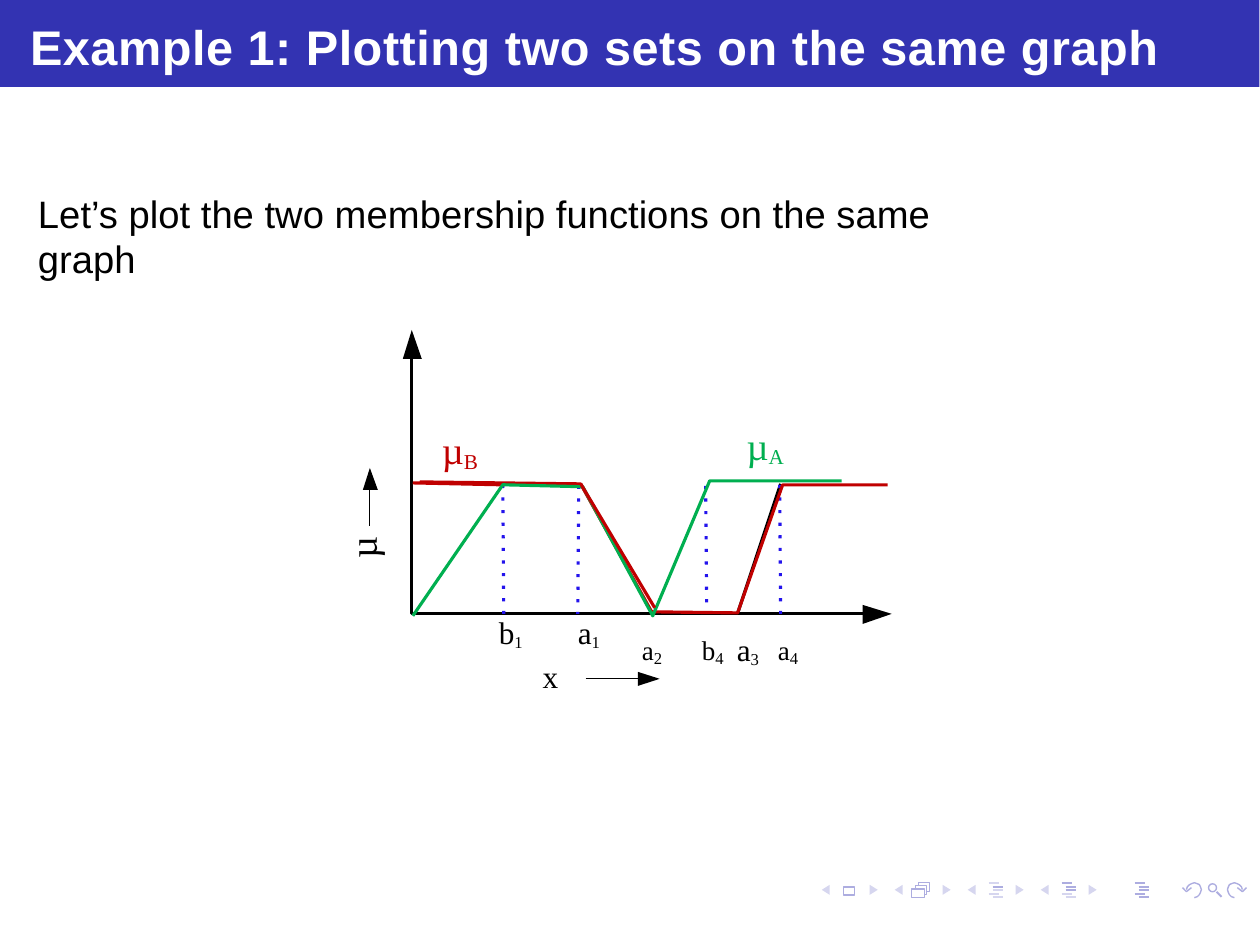
"""Build a slide that plots two membership functions on one graph."""
from lxml.etree import SubElement
from pptx import Presentation
from pptx.dml.color import RGBColor
from pptx.enum.dml import MSO_LINE
from pptx.enum.shapes import MSO_CONNECTOR, MSO_SHAPE
from pptx.enum.text import MSO_ANCHOR, MSO_AUTO_SIZE, PP_ALIGN
from pptx.oxml.ns import qn
from pptx.util import Emu, Pt

EMU_PER_PX = 3657.6
COLORS = {name: RGBColor.from_string(value) for name, value in {
    "band": "3333B2", "white": "FFFFFF", "black": "000000", "dots": "2313EC",
    "set_a": "00AF50", "set_b": "C00000", "dark": "ADADE0", "light": "D6D6EF",
}.items()}

presentation = Presentation()
presentation.slide_width = Pt(363)
presentation.slide_height = Pt(272.5)
slide = presentation.slides.add_slide(presentation.slide_layouts[5])
shapes = slide.shapes


def lengths(*pixels):
    return [Emu(round(pixel * EMU_PER_PX)) for pixel in pixels]


def draw_outline(contours, color, width=None, closed=False):
    builder = shapes.build_freeform(*contours[0][0], scale=EMU_PER_PX)
    for number, contour in enumerate(contours):
        if number:
            builder.move_to(*contour[0])
        builder.add_line_segments(contour[1:], close=closed)
    shape = builder.convert_to_shape()
    shape.shadow.inherit = False
    if width:
        shape.fill.background()
        shape.line.color.rgb = COLORS[color]
        shape.line.width = Pt(width)
    else:
        shape.fill.solid()
        shape.fill.fore_color.rgb = COLORS[color]
        shape.line.fill.background()


band = shapes.add_shape(MSO_SHAPE.RECTANGLE, *lengths(0, 0, 1260, 87))
band.shadow.inherit = False
band.fill.solid()
band.fill.fore_color.rgb = COLORS["band"]
band.line.fill.background()
shapes._spTree.insert(2, band._element)

title = shapes.title
title.left, title.top, title.width, title.height = lengths(30, 17, 1150, 60)
frame = title.text_frame
frame.margin_left = frame.margin_right = frame.margin_top = frame.margin_bottom = 0
frame.vertical_anchor = MSO_ANCHOR.TOP
frame.auto_size = MSO_AUTO_SIZE.NONE
frame.text = "Example 1: Plotting two sets on the same graph"
paragraph = frame.paragraphs[0]
paragraph.alignment = PP_ALIGN.LEFT
paragraph.font.name = "Arial"
paragraph.font.size = Pt(14)
paragraph.font.bold = True
paragraph.font.color.rgb = COLORS["white"]
paragraph.runs[0]._r.get_or_add_rPr().set("spc", "15")

ICON_STEP = 73
for step in range(4):
    left, right = 822 + step * ICON_STEP, 878 + step * ICON_STEP
    draw_outline([[(left, 890), (left + 8, 885), (left + 8, 895)],
                  [(right, 890), (right - 8, 885), (right - 8, 895)]], "light", closed=True)

draw_outline([[(844, 887), (855, 887), (855, 895), (844, 895)]], "dark", 0.4, True)
draw_outline([[(912, 889), (925, 889), (925, 898), (912, 898)]], "dark", 0.4, True)
draw_outline([[(x, y + 3), (x, y), (x + 11, y), (x + 11, y + 9), (x + 8, y + 9)]
              for x, y in [(916, 886), (919, 883)]], "dark", 0.4)
undo = [[(1195, 898), (1198, 897), (1200, 895), (1201, 893), (1202, 890), (1201, 887),
         (1200, 885), (1198, 884), (1195, 883), (1192, 884), (1190, 885), (1188, 887),
         (1187, 890)], [(1192, 888), (1187, 892), (1183, 888)]]
redo = [[(2430 - x, y) for x, y in contour] for contour in undo]
draw_outline(undo + redo, "dark", 0.4)
lens = shapes.add_shape(MSO_SHAPE.OVAL, *lengths(1209, 884, 8, 8))
lens.shadow.inherit = False
lens.fill.background()
lens.line.color.rgb = COLORS["dark"]
lens.line.width = Pt(0.4)

draw_outline([[(412, 357), (412, 614), (865, 614)]], "black", 0.9)
draw_outline([[(403, 359), (412, 330), (422, 359)],
              [(863, 605), (892, 614), (863, 624)],
              [(363, 490), (370, 468), (378, 490)],
              [(638, 672), (660, 679), (638, 686)]], "black", closed=True)

lines = [
    (1217, 892, 1222, 897, "dark", 0.6),
    (370, 526, 370, 488, "black", 0.25),
    (586, 679, 640, 679, "black", 0.25),
    (738, 613, 781, 484, "black", 0.9),
    (780, 485, 781, 614, "dots", 0.9),
    (706, 486, 707, 614, "dots", 0.9),
    (579, 486, 578, 614, "dots", 0.9),
    (503, 485, 504, 614, "dots", 0.9),
]
for icon, dark_rows in enumerate([{1}, {0, 1, 2}, {0, 1, 2, 3, 4}]):
    for row, y in enumerate([883, 887, 890, 894, 897]):
        x = 989 + icon * ICON_STEP + (4 if row in (1, 2, 4) else 0)
        lines.append((x, y, x + 10, y, "dark" if row in dark_rows else "light", 0.6))
for *ends, color, width in lines:
    connector = shapes.add_connector(MSO_CONNECTOR.STRAIGHT, *lengths(*ends))
    SubElement(connector._element.spPr, qn("a:effectLst"))
    connector.line.color.rgb = COLORS[color]
    connector.line.width = Pt(width)
    if color == "dots":
        connector.line.dash_style = MSO_LINE.ROUND_DOT
        connector.line._ln.find(qn("a:prstDash")).set("val", "dot")

draw_outline([[(413, 483), (505, 485)],
              [(420, 482), (581, 484), (652, 612), (738, 613), (783, 485), (888, 485)]],
             "set_b", 0.9)
draw_outline([[(413, 616), (503, 485), (583, 487), (653, 616), (710, 481), (842, 481)]],
             "set_a", 0.9)
draw_outline([[(581, 484), (655, 608)]], "set_b", 0.9)

PLAIN, RAISED = (9, 0, -20), (13.5, 3, 0)
LOW, LOWER = (8.2, -10, 0), (8.2, -15, -40)
MU, SET_NAME = (11, 0, -20), (10.5, -12, -40)
texts = [
    ((38, 190, 992, 100), "horz", "Arial", "black", [],
     [("Let’s plot the two membership functions on the same graph", (11, 0, 0))]),
    ((339, 529, 50, 30), "vert270", "Times New Roman", "black", [], [("µ", MU)]),
    ((543, 657, 26, 42), "horz", "Times New Roman", "black", [], [("x", PLAIN)]),
    ((499, 613, 120, 42), "horz", "Times New Roman", "black", [79],
     [("b", PLAIN), ("1\t", LOWER), ("a", PLAIN), ("1", LOWER)]),
    ((642, 615, 180, 42), "horz", "Times New Roman", "black", [60, 95, 136],
     [("a", RAISED), ("2\t", LOW), ("b", RAISED), ("4\t", LOW),
      ("a", PLAIN), ("3\t", LOWER), ("a", RAISED), ("4", LOW)]),
    ((747, 422, 60, 48), "horz", "Times New Roman", "set_a", [], [("µ", MU), ("A", SET_NAME)]),
    ((442, 427, 60, 48), "horz", "Times New Roman", "set_b", [], [("µ", MU), ("B", SET_NAME)]),
]
for place, direction, font_name, color, tabs, runs in texts:
    text_box = shapes.add_textbox(*lengths(*place))
    frame = text_box.text_frame
    frame.word_wrap = True
    frame.margin_left = frame.margin_right = frame.margin_top = frame.margin_bottom = 0
    frame._txBody.bodyPr.set("vert", direction)
    paragraph = frame.paragraphs[0]
    if tabs:
        tab_list = SubElement(paragraph._p.get_or_add_pPr(), qn("a:tabLst"))
        for position in lengths(*tabs):
            SubElement(tab_list, qn("a:tab"), pos=str(position), algn="l")
    paragraph.font.name = font_name
    paragraph.font.color.rgb = COLORS[color]
    for text, (size, baseline, spacing) in runs:
        run = paragraph.add_run()
        run.text = text
        run.font.size = Pt(size)
        properties = run._r.get_or_add_rPr()
        properties.set("baseline", str(baseline * 1000))
        properties.set("spc", str(spacing))

presentation.save("out.pptx")
